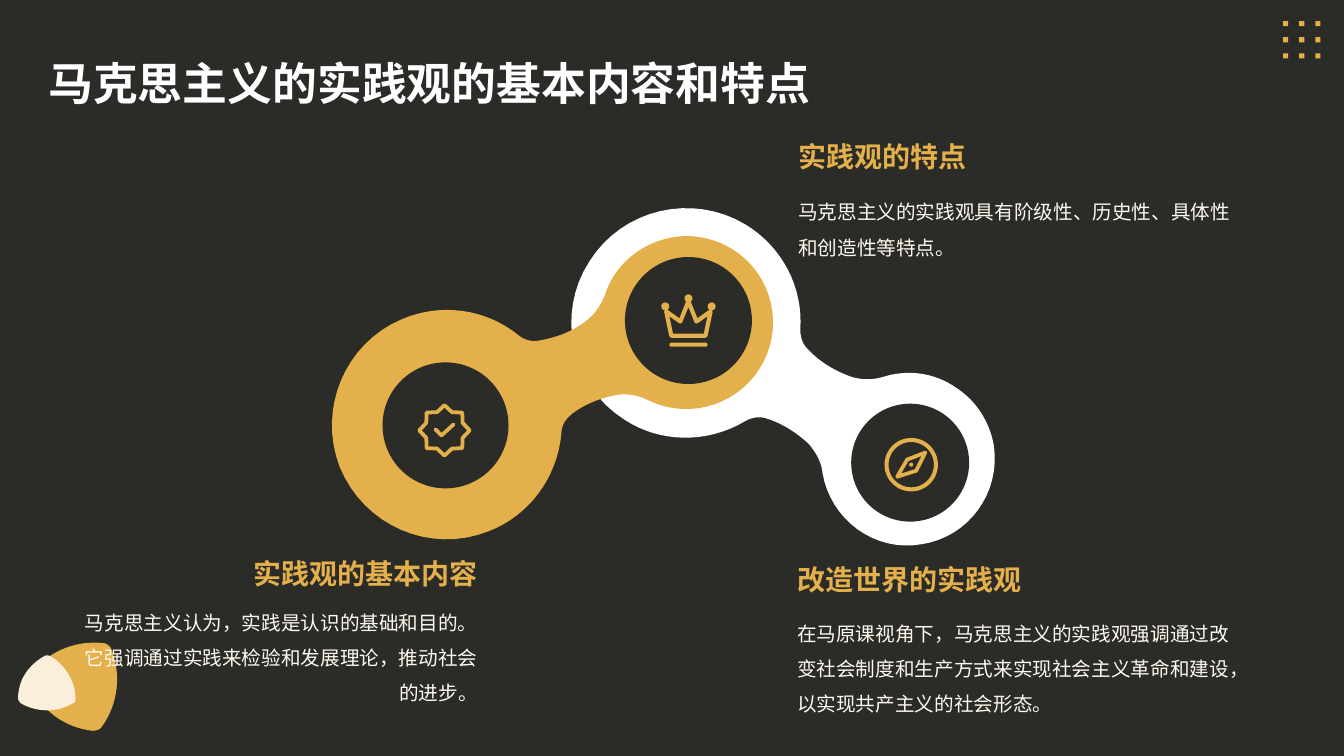
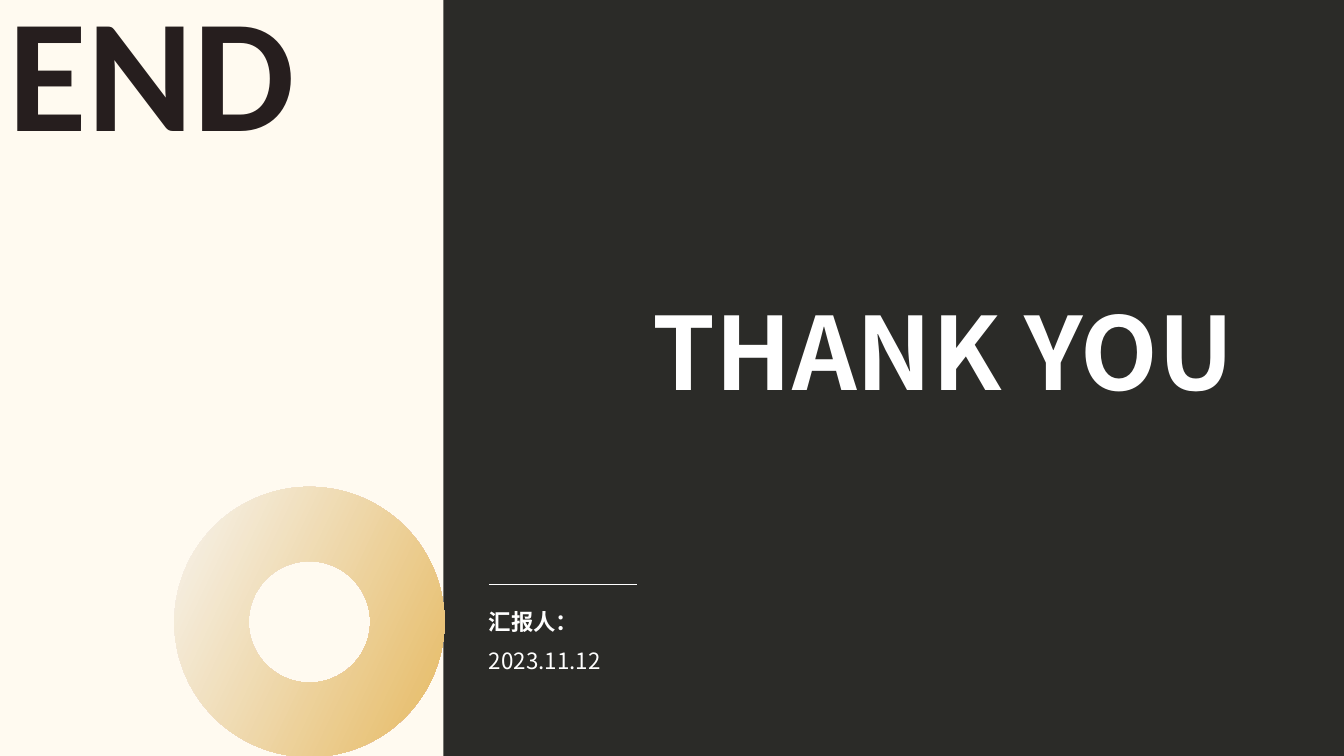
from copy import deepcopy
from dataclasses import dataclass
from math import cos, pi, sin

from lxml import etree
from pptx import Presentation
from pptx.dml.color import RGBColor
from pptx.enum.shapes import MSO_CONNECTOR, MSO_SHAPE
from pptx.enum.text import MSO_ANCHOR, MSO_AUTO_SIZE, PP_ALIGN
from pptx.oxml.ns import qn
from pptx.util import Inches, Pt

OVAL, RECT = MSO_SHAPE.OVAL, MSO_SHAPE.RECTANGLE
ROUND_RECT, DONUT = MSO_SHAPE.ROUNDED_RECTANGLE, MSO_SHAPE.DONUT
LEFT, RIGHT, CENTER = PP_ALIGN.LEFT, PP_ALIGN.RIGHT, PP_ALIGN.CENTER
TOP, MIDDLE, BOTTOM = MSO_ANCHOR.TOP, MSO_ANCHOR.MIDDLE, MSO_ANCHOR.BOTTOM

# Grid: square cells, 7.5 rows on a 16:9 slide
CELL = Inches(1)
ROWS = 7.5
COLS = ROWS * 16 / 9
TITLE_ONLY = 5


@dataclass(frozen=True)
class Theme:
    dark: str = "2B2B28"
    gold: str = "E3B04B"
    cream: str = "FFFAF0"
    sand: str = "F9EFDB"
    pale: str = "F8F8F8"
    white: str = "FFFFFF"
    ink: str = "261E1E"
    cjk: str = "Noto Sans CJK SC"
    latin: str = "Calibri"
    title: int = 32
    heading: int = 20
    body: int = 14
    label: int = 16
    thanks: int = 72
    end: int = 115


T = Theme()


def text_style(size, color, bold=False, name=T.cjk):
    return {"size": Pt(size), "bold": bold, "name": name, "color": color}


STYLES = {
    "title": text_style(T.title, T.white, True),
    "heading": text_style(T.heading, T.gold, True),
    "body": text_style(T.body, T.cream),
    "thanks": text_style(T.thanks, T.white, True),
    "reporter": text_style(T.label, T.white, True),
    "date": text_style(T.label, T.white),
    "end": text_style(T.end, T.ink, True, T.latin),
}

# Smooth outlines: a start point, then cubic curves (control, control, end)
WHITE_LINK = (9.49, 3.85), [
    (9.28, 3.7, 9.01, 3.66, 8.76, 3.74), (8.66, 3.77, 8.55, 3.77, 8.45, 3.74),
    (8.28, 3.68, 8.13, 3.59, 8.01, 3.46), (7.96, 3.41, 7.94, 3.34, 7.94, 3.27),
    (7.97, 2.85, 7.76, 2.45, 7.4, 2.23), (6.87, 1.91, 6.18, 2.07, 5.85, 2.59),
    (5.51, 3.11, 5.66, 3.82, 6.19, 4.16), (6.55, 4.4, 7.02, 4.4, 7.39, 4.18),
    (7.46, 4.14, 7.53, 4.13, 7.6, 4.15), (7.76, 4.2, 7.9, 4.29, 8.02, 4.4),
    (8.09, 4.48, 8.15, 4.58, 8.16, 4.69), (8.24, 5.16, 8.68, 5.48, 9.14, 5.4),
    (9.61, 5.33, 9.93, 4.89, 9.86, 4.42), (9.82, 4.19, 9.69, 3.98, 9.49, 3.85)]
GOLD_LINK = (6.51, 2.4), [
    (6.27, 2.49, 6.08, 2.68, 6, 2.93), (5.96, 3.03, 5.9, 3.12, 5.82, 3.18),
    (5.68, 3.29, 5.52, 3.35, 5.34, 3.38), (5.27, 3.39, 5.2, 3.37, 5.15, 3.33),
    (4.82, 3.06, 4.37, 3, 3.98, 3.17), (3.42, 3.41, 3.15, 4.06, 3.37, 4.63),
    (3.61, 5.22, 4.27, 5.5, 4.85, 5.27), (5.26, 5.11, 5.53, 4.73, 5.57, 4.3),
    (5.57, 4.22, 5.61, 4.16, 5.67, 4.11), (5.8, 4.01, 5.95, 3.95, 6.11, 3.92),
    (6.22, 3.9, 6.33, 3.92, 6.43, 3.97), (6.86, 4.18, 7.37, 4, 7.58, 3.58),
    (7.79, 3.16, 7.62, 2.64, 7.19, 2.43), (6.98, 2.33, 6.74, 2.31, 6.51, 2.4)]
GOLD_PEBBLE = (1.1, 6.43), [
    (1.21, 6.69, 1.17, 6.99, 1.01, 7.21), (0.99, 7.24, 0.95, 7.25, 0.92, 7.25),
    (0.64, 7.22, 0.4, 7.04, 0.29, 6.78), (0.28, 6.75, 0.28, 6.72, 0.3, 6.69),
    (0.47, 6.47, 0.74, 6.35, 1.02, 6.38), (1.05, 6.38, 1.08, 6.4, 1.1, 6.43)]
SAND_PEBBLE = (0.5, 6.51), [
    (0.65, 6.6, 0.75, 6.76, 0.75, 6.94), (0.75, 6.96, 0.74, 6.97, 0.72, 6.98),
    (0.57, 7.07, 0.37, 7.07, 0.21, 6.98), (0.2, 6.97, 0.18, 6.95, 0.18, 6.93),
    (0.18, 6.75, 0.28, 6.6, 0.44, 6.51), (0.45, 6.5, 0.48, 6.5, 0.5, 6.51)]

# Callouts: heading, body, left, heading top, body top, width, body height, alignment
CALLOUTS = [
    ("实践观的基本内容",
     "马克思主义认为，实践是认识的基础和目的。它强调通过实践来检验和发展理论，推动社会的进步。",
     0.65, 5.4, 5.89, 4.19, 1.15, RIGHT),
    ("改造世界的实践观",
     "在马原课视角下，马克思主义的实践观强调通过改变社会制度和生产方式来实现社会主义革命和建设，"
     "以实现共产主义的社会形态。",
     7.81, 5.46, 6, 4.63, 1.29, LEFT),
    ("实践观的特点",
     "马克思主义的实践观具有阶级性、历史性、具体性和创造性等特点。",
     7.82, 1.26, 1.82, 4.63, 1.17, LEFT),
]


def cells(*values):
    return [round(v * CELL) for v in values]


def rgb(color):
    return RGBColor.from_string(color)


# Shapes
def paint(sp, fill=None, line=None, width=0):
    sp.shadow.inherit = False
    if fill:
        sp.fill.solid()
        sp.fill.fore_color.rgb = rgb(fill)
    else:
        sp.fill.background()
    if line:
        sp.line.color.rgb = rgb(line)
        sp.line.width = Pt(width)
        sp._element.spPr.find(qn("a:ln")).set("cap", "rnd")
    else:
        sp.line.fill.background()
    return sp


def add_shape(slide, kind, box, **look):
    return paint(slide.shapes.add_shape(kind, *cells(*box)), **look)


def add_disc(slide, x, y, diameter, **look):
    r = diameter / 2
    return add_shape(slide, OVAL, (x - r, y - r, diameter, diameter), **look)


def add_outline(slide, *contours, close=True, **look):
    builder = slide.shapes.build_freeform(*cells(*contours[0][0]))
    for i, points in enumerate(contours):
        start, *rest = [cells(*pt) for pt in points]
        if i:
            builder.move_to(*start)
        builder.add_line_segments(rest, close=close)
    return paint(builder.convert_to_shape(), **look)


def add_curve(slide, curve, fill, steps=16):
    start, segments = curve
    points = [start]
    for x1, y1, x2, y2, x3, y3 in segments:
        x0, y0 = points[-1]
        for i in range(1, steps + 1):
            t = i / steps
            a, b, c, d = (1 - t) ** 3, 3 * t * (1 - t) ** 2, 3 * t * t * (1 - t), t ** 3
            points.append((a * x0 + b * x1 + c * x2 + d * x3,
                           a * y0 + b * y1 + c * y2 + d * y3))
    return add_outline(slide, points, fill=fill)


def add_dot_grid(slide, x, y, pitch=0.16, side=0.05, count=3):
    corners = [(0, 0), (side, 0), (side, side), (0, side)]
    dots = [[(x + col * pitch + dx, y + row * pitch + dy) for dx, dy in corners]
            for row in range(count) for col in range(count)]
    add_outline(slide, *dots, fill=T.gold)


# Text
def write(sp, text, style, align=LEFT, anchor=MIDDLE, spacing=1.0, inset=True, wrap=True):
    tf = sp.text_frame
    frame = {"word_wrap": wrap, "vertical_anchor": anchor,
             "auto_size": MSO_AUTO_SIZE.NONE if wrap else MSO_AUTO_SIZE.SHAPE_TO_FIT_TEXT}
    if not inset:
        frame |= dict.fromkeys(
            ("margin_left", "margin_top", "margin_right", "margin_bottom"), 0)
    for key, value in frame.items():
        setattr(tf, key, value)
    p = tf.paragraphs[0]
    p.alignment, p.line_spacing = align, spacing
    r = p.add_run()
    r.text = text
    for key, value in STYLES[style].items():
        if key == "color":
            r.font.color.rgb = rgb(value)
        else:
            setattr(r.font, key, value)
    ea = etree.SubElement(r._r.get_or_add_rPr(), qn("a:ea"))
    ea.set("typeface", STYLES[style]["name"])


def add_text(slide, box, text, style, **layout):
    write(slide.shapes.add_textbox(*cells(*box)), text, style, **layout)


def set_title(slide, box, text, style, **layout):
    sp = slide.shapes.title
    sp.left, sp.top, sp.width, sp.height = cells(*box)
    write(sp, text, style, **layout)


# Icons
def add_badge(slide, x, y):
    star = [(x + r * sin(i * pi / 8), y - r * cos(i * pi / 8))
            for i in range(16) for r in [0.195 if i % 2 else 0.25]]
    add_outline(slide, star, line=T.gold, width=2.7)
    tick = [(x - 0.09, y - 0.01), (x - 0.03, y + 0.05), (x + 0.09, y - 0.06)]
    add_outline(slide, tick, close=False, line=T.gold, width=2.7)


def add_crown(slide, x, y):
    right = [(0.17, 0.18), (0.22, -0.06), (0.08, 0.04), (0, -0.16)]
    left = [(-dx, dy) for dx, dy in reversed(right[:-1])]
    add_outline(slide, [(x + dx, y + dy) for dx, dy in right + left],
                line=T.gold, width=3)
    for dx, dy in [(-0.23, -0.11), (0, -0.19), (0.23, -0.11)]:
        add_disc(slide, x + dx, y + dy, 0.08, fill=T.gold)
    bar = add_shape(slide, ROUND_RECT, (x - 0.19, y + 0.25, 0.38, 0.04), fill=T.gold)
    bar.adjustments[0] = 0.5


def add_compass(slide, x, y):
    add_disc(slide, x, y, 0.49, line=T.gold, width=2.9)
    needle = [(-0.14, 0.12), (-0.04, -0.05), (0.14, -0.12), (0.05, 0.06)]
    add_outline(slide, [(x + dx, y + dy) for dx, dy in needle], line=T.gold, width=2.7)
    add_disc(slide, x, y, 0.04, fill=T.gold)


# Slides
def build_practice(prs):
    slide = prs.slides.add_slide(prs.slide_layouts[TITLE_ONLY])
    set_title(slide, (0.38, 0.37, 12.57, 0.79),
              "马克思主义的实践观的基本内容和特点", "title", spacing=1.2)

    # Corner decoration
    add_dot_grid(slide, 12.73, 0.21)
    add_curve(slide, GOLD_PEBBLE, T.gold)
    add_curve(slide, SAND_PEBBLE, T.sand)

    # Linked rings with icons
    add_curve(slide, WHITE_LINK, T.white)
    add_curve(slide, GOLD_LINK, T.gold)
    for x, y, diameter in [(4.42, 4.22, 1.25), (6.83, 3.18, 1.26), (9.03, 4.59, 1.17)]:
        add_disc(slide, x, y, diameter, fill=T.dark)
    add_badge(slide, 4.41, 4.27)
    add_crown(slide, 6.83, 3.15)
    add_compass(slide, 9.04, 4.61)

    # Callouts
    for heading, body, x, head_y, body_y, w, body_h, align in CALLOUTS:
        add_text(slide, (x, head_y, w, 0.51), heading, "heading", align=align, spacing=1.2)
        add_text(slide, (x, body_y, w, body_h), body, "body",
                 align=align, anchor=TOP, spacing=1.5)


def build_end(prs):
    slide = prs.slides.add_slide(prs.slide_layouts[TITLE_ONLY])
    set_title(slide, (4.94, 2.04, 7.3, 2.03), "THANK YOU", "thanks",
              align=RIGHT, anchor=BOTTOM, inset=False)

    # Side panel with gradient ring
    add_shape(slide, RECT, (0, 0, 4.4, ROWS), fill=T.cream)
    ring = add_shape(slide, DONUT, (1.73, 4.83, 2.68, 2.68))
    ring.adjustments[0] = 0.275
    ring.rotation = 115.4
    ring._element.spPr.find(qn("a:xfrm")).set("flipV", "1")
    ring.fill.gradient()
    ring.fill.gradient_angle = 270
    stop_list = ring._element.spPr.find(".//" + qn("a:gsLst"))
    stop_list.insert(1, deepcopy(stop_list[0]))
    stops = [(0, T.sand), (0.07, T.pale), (1, T.gold)]
    for stop, (position, color) in zip(ring.fill.gradient_stops, stops):
        stop.position = position
        stop.color.rgb = rgb(color)
    add_text(slide, (-0.03, -0.34, 3.07, 2.04), "END", "end",
             align=CENTER, anchor=TOP, wrap=False)

    # Reporter and date under a rule
    rule = slide.shapes.add_connector(MSO_CONNECTOR.STRAIGHT, *cells(4.85, 5.8, 6.32, 5.8))
    rule.line.color.rgb = rgb(T.white)
    rule.line.width = Pt(1)
    etree.SubElement(rule._element.spPr, qn("a:effectLst"))
    add_text(slide, (4.85, 5.96, 4.25, 0.42), "汇报人：", "reporter", inset=False)
    add_text(slide, (4.85, 6.33, 4.25, 0.44), "2023.11.12", "date", inset=False)


def main():
    prs = Presentation()
    prs.slide_width, prs.slide_height = cells(COLS, ROWS)
    background = prs.slide_master.background.fill
    background.solid()
    background.fore_color.rgb = rgb(T.dark)
    build_practice(prs)
    build_end(prs)
    prs.save("out.pptx")


if __name__ == "__main__":
    main()
